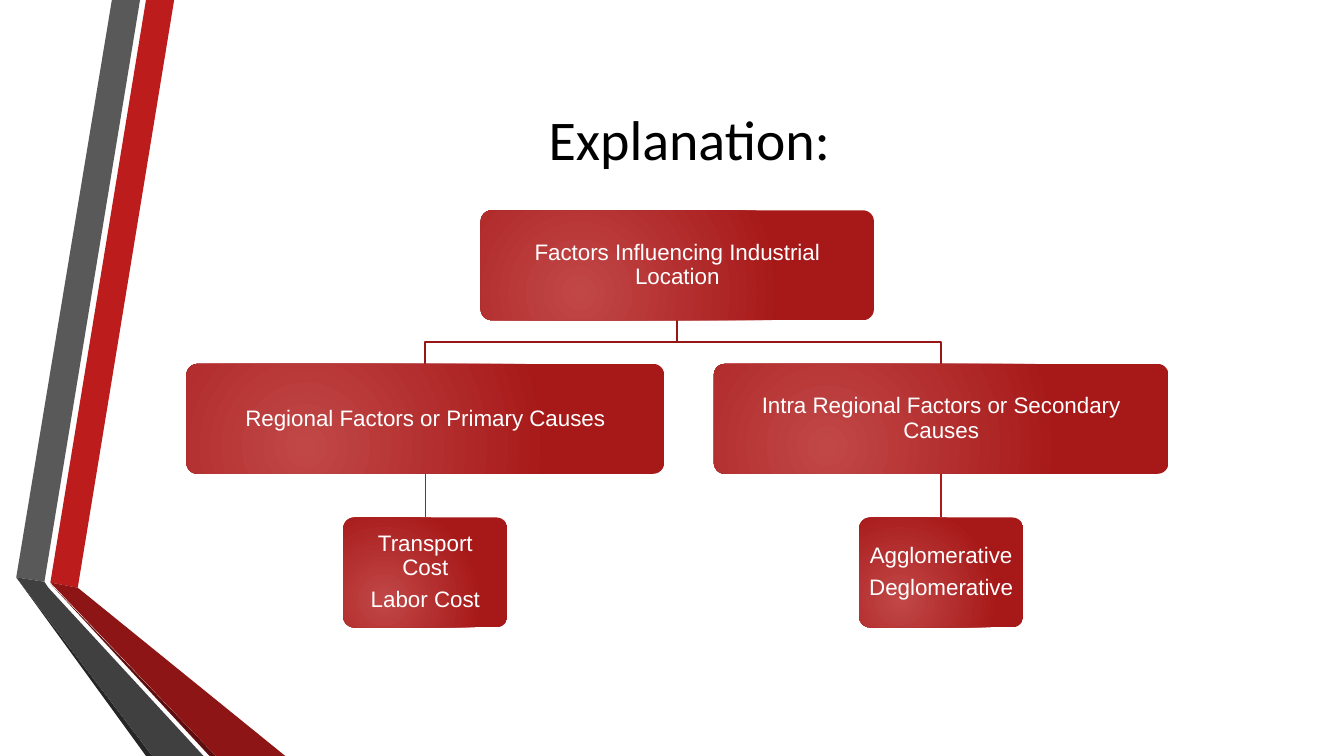
from lxml import etree
from pptx import Presentation
from pptx.dml.color import RGBColor
from pptx.enum.shapes import MSO_CONNECTOR, MSO_SHAPE
from pptx.enum.text import MSO_ANCHOR, PP_ALIGN
from pptx.oxml.ns import qn
from pptx.util import Cm, Pt

ROUNDED = MSO_SHAPE.ROUNDED_RECTANGLE
STRAIGHT = MSO_CONNECTOR.STRAIGHT
CENTER = PP_ALIGN.CENTER
MIDDLE = MSO_ANCHOR.MIDDLE
BOTTOM_SIDE, TOP_SIDE = 2, 0

BOX_HEIGHT = 2.77
LEVEL_TOPS = [5.3 + 3.87 * level for level in range(3)]
ROOT_X, REGIONAL_X, INTRA_X = 17.07, 10.72, 23.72

RIBBONS = [
    ("BC1C1C", [(1.27, 14.68), (1.96, 14.81), (4.39, 0), (3.68, 0)]),
    ("595959", [(3.53, 0), (2.82, 0), (0.41, 14.55), (1.12, 14.66)]),
    ("262626", [(0.41, 14.55), (3.68, 19.05), (3.84, 19.05)]),
    ("5E0E0E", [(1.27, 14.71), (5.28, 19.05), (5.44, 19.05)]),
    ("8D1515", [(1.27, 14.68), (5.44, 19.05), (7.19, 19.05), (1.96, 14.81)]),
    ("404040", [(5.13, 19.05), (1.22, 14.81), (1.12, 14.66), (0.41, 14.55),
                (3.84, 19.05)]),
]


def color(value):
    return RGBColor.from_string(value)


def add_outline(s, points, close):
    points = [(Cm(x), Cm(y)) for x, y in points]
    builder = s.shapes.build_freeform(*points[0])
    builder.add_line_segments(points[1:], close=close)
    sp = builder.convert_to_shape()
    sp.shadow.inherit = False
    return sp


def add_ribbon(s, fill, points):
    sp = add_outline(s, points, True)
    sp.fill.solid()
    sp.fill.fore_color.rgb = color(fill)
    sp.line.fill.background()


def format_line(line, value):
    line.color.rgb = color(value)
    line.width = Pt(1.25)


def add_branch(s, child_x):
    top, bottom = LEVEL_TOPS[0] + BOX_HEIGHT, LEVEL_TOPS[1]
    middle = (top + bottom) / 2
    sp = add_outline(s, [(ROOT_X, top), (ROOT_X, middle),
                         (child_x, middle), (child_x, bottom)], False)
    sp.fill.background()
    format_line(sp.line, "971616")


def add_link(s, parent, child):
    link = s.shapes.add_connector(STRAIGHT, 0, 0, 0, 0)
    link.begin_connect(parent, BOTTOM_SIDE)
    link.end_connect(child, TOP_SIDE)
    format_line(link.line, "AB1919")
    etree.SubElement(link._element.spPr, qn("a:effectLst"))


def fill_radial(sp):
    sp.fill.gradient()
    for stop, value in zip(sp.fill.gradient_stops, ("C14747", "A71919")):
        stop.color.rgb = color(value)
    grad = sp._element.spPr.find(qn("a:gradFill"))
    grad.remove(grad.find(qn("a:lin")))
    circle = etree.SubElement(grad, qn("a:path"), path="circle")
    etree.SubElement(circle, qn("a:fillToRect"),
                     l="50000", t="100000", r="100000", b="50000")


def add_box(s, center_x, level, width, lines):
    sp = s.shapes.add_shape(ROUNDED, Cm(center_x - width / 2),
                            Cm(LEVEL_TOPS[level]), Cm(width), Cm(BOX_HEIGHT))
    sp.adjustments[0] = 0.1
    sp.shadow.inherit = False
    sp.line.fill.background()
    fill_radial(sp)
    tf = sp.text_frame
    tf.word_wrap = True
    tf.vertical_anchor = MIDDLE
    tf.margin_left = tf.margin_right = Cm(0.17)
    tf.margin_top = tf.margin_bottom = Cm(0.17)
    tf.text = "\n".join(lines)
    for p in tf.paragraphs:
        p.alignment = CENTER
        p.line_spacing = 0.9
        p.font.name = "Arial"
        p.font.size = Pt(16)
        p.font.color.rgb = color("FFFFFF")
    for p in tf.paragraphs[:-1]:
        p.space_after = Pt(5.6)
    return sp


def set_title(s, text):
    title = s.shapes.title
    title.left, title.top = Cm(3.45), Cm(1.04)
    title.width, title.height = Cm(27.84), Cm(4.88)
    tf = title.text_frame
    tf.text = text
    tf.vertical_anchor = MIDDLE
    p = tf.paragraphs[0]
    p.alignment = CENTER
    p.font.name = "Calibri"
    p.font.size = Pt(40)
    p.font.color.rgb = color("000000")


def main():
    prs = Presentation()
    prs.slide_width, prs.slide_height = Cm(33.87), Cm(19.05)
    s = prs.slides.add_slide(prs.slide_layouts[5])
    for fill, points in RIBBONS:
        add_ribbon(s, fill, points)
    set_title(s, "Explanation:")

    for child_x in (REGIONAL_X, INTRA_X):
        add_branch(s, child_x)
    add_box(s, ROOT_X, 0, 9.91, ["Factors Influencing Industrial Location"])
    regional = add_box(s, REGIONAL_X, 1, 12.04,
                       ["Regional Factors or Primary Causes"])
    intra = add_box(s, INTRA_X, 1, 11.46,
                    ["Intra Regional Factors or Secondary Causes"])
    costs = add_box(s, REGIONAL_X, 2, 4.14, ["Transport Cost", "Labor Cost"])
    forces = add_box(s, INTRA_X, 2, 4.14, ["Agglomerative", "Deglomerative"])
    add_link(s, regional, costs)
    add_link(s, intra, forces)
    prs.save("out.pptx")


if __name__ == "__main__":
    main()
